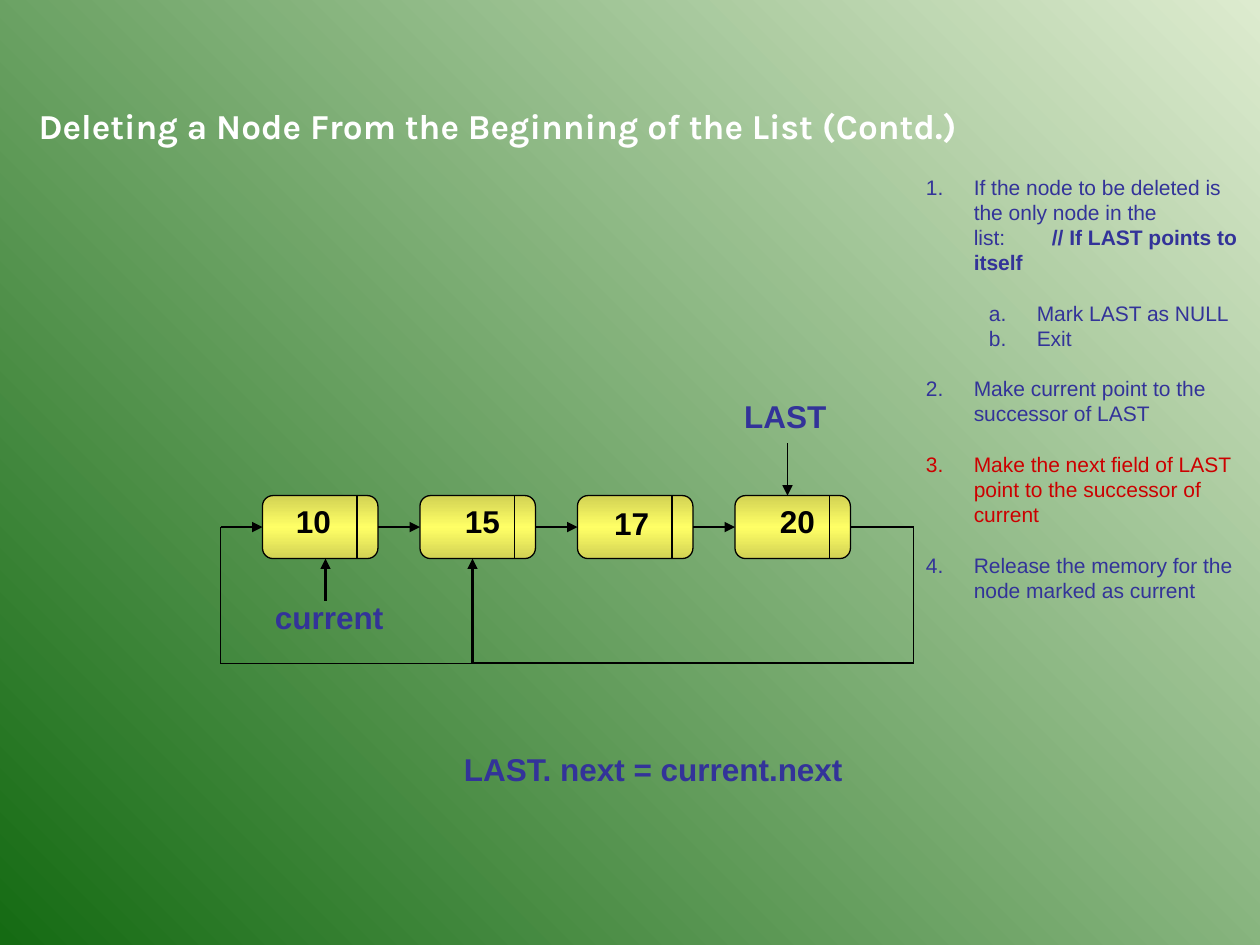
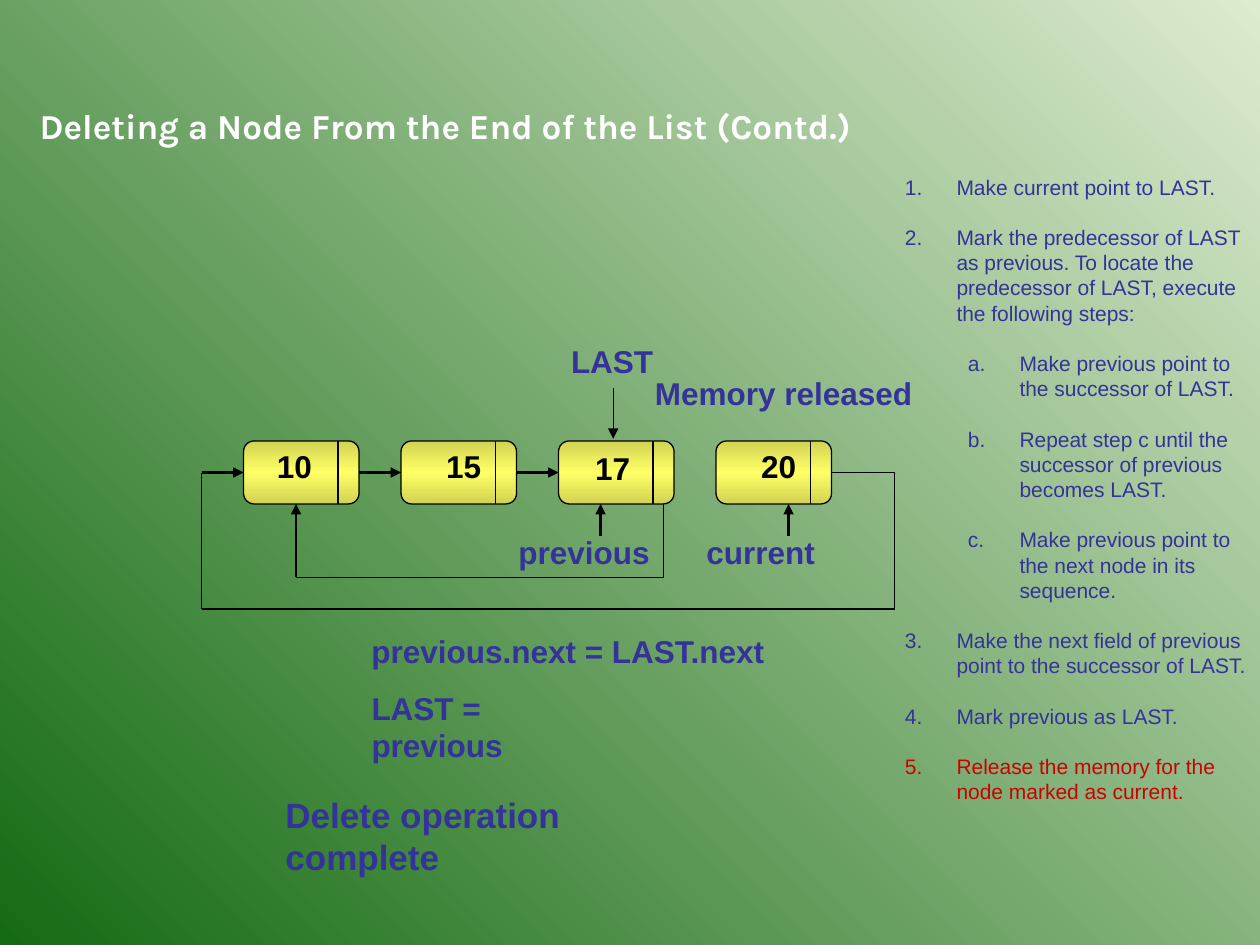
from copy import deepcopy

from lxml.etree import SubElement
from pptx import Presentation
from pptx.dml.color import RGBColor
from pptx.enum.shapes import MSO_CONNECTOR as Link, MSO_SHAPE as Preset
from pptx.enum.text import MSO_AUTO_SIZE as Fit
from pptx.oxml.ns import qn
from pptx.util import Inches, Pt

COLUMNS, ROWS = 120, 90
WIDTH, HEIGHT = Inches(10), Inches(7.5)

INK, ALERT, BLACK, WHITE = "333399", "CC0000", "000000", "FFFFFF"
BACKDROP = ["DDEBCF", "156B13"]
NODE_EDGE, NODE_GLOW = "D2D254", "FFFF66"
BODY_FONT, TITLE_FONT = "Arial", "Karla"

PITCH, NODE_W, NODE_H, LEAD, FIELD = 15, 11, 6, 4, 9
MIDDLE, LOOP_END, LOOP_DEPTH = 3, 66, 16
THIN, THICK = 0.75, 1.25
STEP_LINE = Pt(14.4)

NODES = [("10", 2, 0), ("15", 3.1, 0), ("17", 2.3, 0.2), ("20", 3.1, 0)]


def col(count):
    return round(WIDTH * count / COLUMNS)


def row(count):
    return round(HEIGHT * count / ROWS)


def rgb(code):
    return RGBColor.from_string(code)


def style(run, size, color, bold=True, font=BODY_FONT):
    run.font.size = Pt(size)
    run.font.name = font
    run.font.bold = bold
    run.font.color.rgb = rgb(color)


def gradient(fill, colors, angle):
    fill.gradient()
    fill.gradient_angle = angle
    stops = fill.gradient_stops
    for stop, code in zip(stops, (colors[0], colors[-1])):
        stop.color.rgb = rgb(code)
    if len(colors) == 3:
        first = stops[0]._gs
        first.addnext(deepcopy(first))
        center = fill.gradient_stops[1]
        center.position = 0.5
        center.color.rgb = rgb(colors[1])


def text_frame(slide, x, y, w, h, wrap):
    frame = slide.shapes.add_textbox(col(x), row(y), col(w), row(h)).text_frame
    frame.word_wrap = wrap
    frame.auto_size = Fit.SHAPE_TO_FIT_TEXT
    return frame


def label(slide, text, x, y, w, h=4.8, size=18, color=INK, font=BODY_FONT):
    frame = text_frame(slide, x, y, w, h, False)
    frame.text = text
    style(frame.paragraphs[0].runs[0], size, color, font=font)


def line(slide, start, end, weight=THIN, arrow=False):
    connector = slide.shapes.add_connector(
        Link.STRAIGHT, col(start[0]), row(start[1]), col(end[0]), row(end[1]))
    connector.line.color.rgb = rgb(BLACK)
    connector.line.width = Pt(weight)
    if arrow:
        SubElement(connector.line._get_or_add_ln(), qn("a:tailEnd"), type="triangle")
    SubElement(connector._element.spPr, qn("a:effectLst"))
    return connector


def new_slide(deck, title, x, w):
    slide = deck.slides.add_slide(deck.slide_layouts[6])
    gradient(slide.background.fill, BACKDROP, 225)
    label(slide, title, x, 9.4, w, 5.3, 20, WHITE, TITLE_FONT)
    return slide


def node(slide, x, y, value, inset, drop):
    box = slide.shapes.add_shape(
        Preset.ROUNDED_RECTANGLE, col(x), row(y), col(NODE_W), row(NODE_H))
    box.adjustments[0] = 0.167
    box.shadow.inherit = False
    gradient(box.fill, [NODE_EDGE, NODE_GLOW, NODE_EDGE], 270)
    box.line.color.rgb = rgb(BLACK)
    box.line.width = Pt(THIN)
    label(slide, value, x + inset, y + drop, 5.8, color=BLACK)
    line(slide, (x + FIELD, y), (x + FIELD, y + NODE_H))
    return box


def linked_list(slide, left, top, links):
    starts = [left + LEAD + PITCH * i for i in range(len(NODES))]
    boxes = [node(slide, x, top, *item) for x, item in zip(starts, NODES)]
    axis, floor, right = top + MIDDLE, top + LOOP_DEPTH, left + LOOP_END

    for i in range(links):
        link = line(slide, (starts[i] + NODE_W, axis), (starts[i + 1], axis), THICK, True)
        link.begin_connect(boxes[i], 3)
        link.end_connect(boxes[i + 1], 1)

    entry = line(slide, (left, axis), (starts[0], axis), THICK, True)
    entry.end_connect(boxes[0], 1)
    way_out = line(slide, (starts[-1] + NODE_W, axis), (right, axis))
    way_out.begin_connect(boxes[-1], 3)
    line(slide, (left, axis), (left, floor))
    line(slide, (left, floor), (right, floor))
    line(slide, (right, axis), (right, floor))


def annotations(slide, left, top, captions, pointers, detour):
    for text, x, y, w, *size in captions:
        label(slide, text, left + x, top + y, w, 4.8, *size)
    for x, start, end, weight in pointers:
        line(slide, (left + x, top + start), (left + x, top + end), weight, True)
    for start, end, weight, arrow in detour:
        line(slide, (left + start[0], top + start[1]),
             (left + end[0], top + end[1]), weight, arrow)


def number(paragraph, level, indent, color):
    paragraph.level = level
    props = paragraph._p.get_or_add_pPr()
    props.set("marL", str(Inches(indent + level / 2)))
    props.set("indent", str(-Inches(indent)))
    SubElement(SubElement(props, qn("a:buClr")), qn("a:srgbClr"), val=color)
    SubElement(props, qn("a:buFont"), typeface=BODY_FONT)
    SubElement(props, qn("a:buAutoNum"),
               type="alphaLcPeriod" if level else "arabicPeriod")


def algorithm(slide, x, w, h, indent, steps, active, tight=()):
    frame = text_frame(slide, x, 16, w, h, True)
    for i, (level, text) in enumerate(steps):
        paragraph = frame.paragraphs[0] if i == 0 else frame.add_paragraph()
        color = ALERT if i == active else INK
        paragraph.text = text
        paragraph.line_spacing = STEP_LINE
        if i and i not in tight:
            paragraph.space_before = STEP_LINE
        number(paragraph, level, indent, color)
        for run in paragraph.runs:
            style(run, 12, color, False)
    return frame


def remark(paragraph, lead, text):
    paragraph.add_line_break()
    for part, bold in ((lead, False), (" ", False), (text, True)):
        run = paragraph.add_run()
        run.text = part
        style(run, 12, INK, bold)
        if part == " ":
            run._r.get_or_add_rPr().set("spc", "2330")


def delete_from_beginning(deck):
    slide = new_slide(
        deck, "Deleting a Node From the Beginning of the List (Contd.)", 2.5, 94.8)
    origin = (21, 47.2)
    linked_list(slide, *origin, links=3)
    annotations(
        slide, *origin,
        captions=[("LAST", 48.7, -10, 10.2),
                  ("current", 4, 9.2, 12.7),
                  ("LAST. next = current.next", 22, 23.6, 38.8)],
        pointers=[(54, -5, 0, THIN), (10, 10, NODE_H, THICK)],
        detour=[((24, 15.9), (LOOP_END, 15.9), THIN, False),
                ((24, 15.9), (24, NODE_H), THICK, True)])
    steps = algorithm(slide, 87, 33, 42, 0.38, [
        (0, "If the node to be deleted is the only node in the"),
        (1, "Mark LAST as NULL"),
        (1, "Exit"),
        (0, "Make current point to the successor of LAST"),
        (0, "Make the next field of LAST point to the successor of current"),
        (0, "Release the memory for the node marked as current"),
    ], active=4, tight=(2,))
    remark(steps.paragraphs[0], "list:", "// If LAST points to itself")


def delete_from_end(deck):
    slide = new_slide(
        deck, "Deleting a Node From the End of the List (Contd.)", 2.6, 84)
    origin = (19.2, 42)
    linked_list(slide, *origin, links=2)
    annotations(
        slide, *origin,
        captions=[("Memory released", 42, -7, 26.9),
                  ("LAST", 34, -10, 10.2),
                  ("previous", 29, 8.2, 14.9),
                  ("current", 46.9, 8.2, 12.7),
                  ("previous.next = LAST.next", 15, 17.6, 39.8),
                  ("LAST = previous", 15, 23, 26.1),
                  ("Delete operation complete", 6.8, 33, 44.1, 20)],
        pointers=[(39.2, -5, -0.2, THIN),
                  (38, 9, NODE_H, THICK),
                  (55.9, 9, NODE_H, THICK)],
        detour=[((44, 13), (44, NODE_H), THIN, False),
                ((9, 13), (44, 13), THIN, False),
                ((9, 13), (9, NODE_H), THICK, True)])
    algorithm(slide, 85, 35, 63.6, 0.41, [
        (0, "Make current point to LAST."),
        (0, "Mark the predecessor of LAST as previous. To locate the "
            "predecessor of LAST, execute the following steps:"),
        (1, "Make previous point to the successor of LAST."),
        (1, "Repeat step c until the successor of previous becomes LAST."),
        (1, "Make previous point to the next node in its sequence."),
        (0, "Make the next field of previous point to the successor of LAST."),
        (0, "Mark previous as LAST."),
        (0, "Release the memory for the node marked as current."),
    ], active=7)


def main():
    deck = Presentation()
    deck.slide_width, deck.slide_height = WIDTH, HEIGHT
    delete_from_beginning(deck)
    delete_from_end(deck)
    deck.save("out.pptx")


if __name__ == "__main__":
    main()
